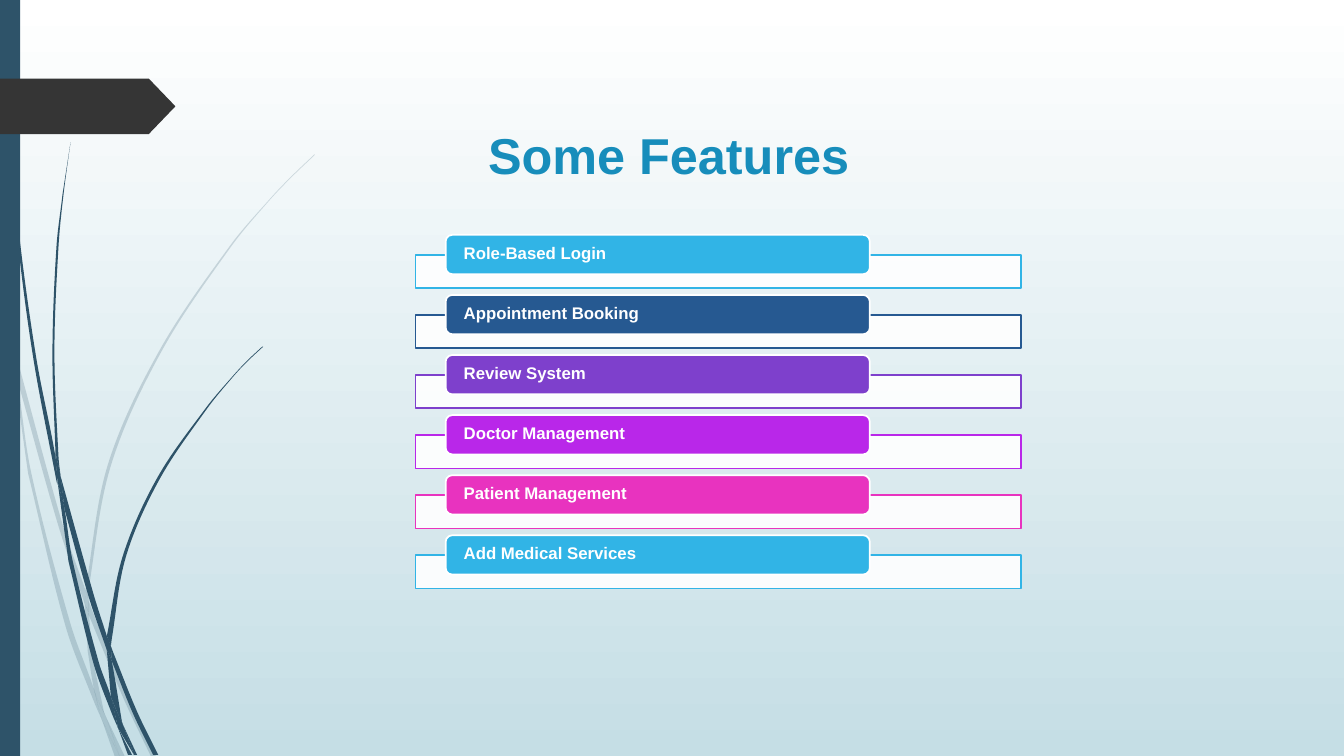
from dataclasses import dataclass
from math import dist

from lxml.etree import SubElement
from pptx import Presentation
from pptx.dml.color import RGBColor
from pptx.enum.shapes import MSO_SHAPE
from pptx.enum.text import MSO_ANCHOR, PP_ALIGN
from pptx.oxml.ns import qn
from pptx.util import Inches, Pt


@dataclass(frozen=True)
class Theme:
    """Colours, font and type sizes of the slide."""
    font: str = "Arial"
    title_size: int = 36
    label_size: int = 12
    line_width: float = 1.25
    title: str = "178DBB"
    slate: str = "2E5369"
    tag: str = "353535"
    white: str = "FFFFFF"
    mist: str = "C5DEE5"


T = Theme()
FEATURES = [
    ("Role-Based Login", "31B4E6"),
    ("Appointment Booking", "265991"),
    ("Review System", "7E40CC"),
    ("Doctor Management", "B927E9"),
    ("Patient Management", "E833BF"),
    ("Add Medical Services", "31B4E6"),
]
PALE_BLADES = [
    ([(0.11, 3.5), (0.09, 3.22), (0, 2.82)], [(0, 2.99), (0.1, 3.44)]),
    ([(0.14, 3.45), (0.62, 5.2), (0.85, 5.86)], [(0.84, 5.99), (0.58, 5.22), (0.17, 3.76)]),
    ([(0.88, 5.96), (0.92, 6.07), (1.27, 6.92), (1.55, 7.51)],
     [(1.5, 7.51), (1.23, 6.94), (0.88, 6.1)]),
    ([(1.05, 7.11), (1.24, 7.51)], [(1.19, 7.51)]),
    ([(0.11, 3.5), (0.17, 3.76), (0.31, 4.69), (0.7, 6.19), (0.93, 6.83), (0.99, 7.07)],
     [(1.01, 7.14), (0.92, 6.93), (0.65, 6.21), (0.28, 4.7)]),
    ([(0.84, 5.99), (0.88, 6.08), (0.91, 6.46), (1.03, 7.06)],
     [(1.05, 7.11), (0.96, 6.92), (0.93, 6.83), (0.87, 6.46)]),
    ([(0.88, 5.96), (0.88, 5.84), (1.1, 4.62), (1.6, 3.49), (2.29, 2.45), (2.68, 1.98),
      (2.9, 1.75), (3.12, 1.54)],
     [(3.12, 1.53), (2.89, 1.75), (2.68, 1.97), (2.28, 2.44), (1.58, 3.48), (1.07, 4.61),
      (0.85, 5.84), (0.85, 5.86)]),
    ([(1.01, 7.14), (1.14, 7.51)], [(1.19, 7.51)]),
    ([(0.85, 5.86), (0.88, 5.96), (0.88, 6.1)], [(0.88, 6.08), (0.84, 5.99)]),
    ([(0.93, 6.83), (0.96, 6.92), (1.05, 7.11), (1.19, 7.51)], [(1.01, 7.14), (0.99, 7.07)]),
]
DARK_BLADES = [
    ([(0.03, 0), (0.04, 0.48), (0.07, 1.1), (0.17, 2.33), (0.33, 3.55), (0.56, 4.77)],
     [(0.57, 4.81), (0.55, 4.53), (0.36, 3.55), (0.19, 2.32), (0.08, 1.09), (0.05, 0.48),
      (0.04, 0)]),
    ([(0.6, 4.72), (0.93, 5.9), (1.06, 6.31)],
     [(1.06, 6.45), (0.88, 5.92), (0.64, 5.05)]),
    ([(1.1, 6.41), (1.13, 6.49), (1.36, 7.06), (1.57, 7.49)],
     [(1.52, 7.49), (1.32, 7.08), (1.11, 6.56)]),
    ([(0.57, 4.77), (0.64, 5.05), (0.72, 5.56), (0.98, 6.57), (1.1, 6.91), (1.16, 7.17)],
     [(1.17, 7.22), (1.11, 7.08), (0.93, 6.59), (0.68, 5.57)]),
    ([(0.7, 1.41), (0.63, 1.93), (0.58, 2.45), (0.54, 3.49), (0.58, 4.53), (0.6, 4.72)],
     [(0.55, 4.49), (0.52, 3.49), (0.56, 2.45), (0.62, 1.93)]),
    ([(1.22, 7.19), (1.36, 7.49)], [(1.33, 7.49)]),
    ([(0.55, 4.49), (0.6, 4.72), (0.64, 5.05)], [(0.57, 4.77), (0.55, 4.53)]),
    ([(1.1, 6.41), (1.11, 6.33), (1.25, 5.52), (1.58, 4.76), (2.05, 4.06), (2.31, 3.74),
      (2.45, 3.59), (2.61, 3.44)],
     [(2.6, 3.44), (2.45, 3.58), (2.31, 3.73), (2.04, 4.05), (1.56, 4.74), (1.22, 5.51),
      (1.06, 6.31)]),
    ([(1.17, 7.22), (1.31, 7.49)], [(1.27, 7.49)]),
    ([(1.06, 6.45), (1.09, 6.51), (1.11, 6.56), (1.21, 7.16)],
     [(1.22, 7.19), (1.16, 7.06), (1.1, 6.91)]),
    ([(1.06, 6.31), (1.1, 6.41), (1.11, 6.56)], [(1.09, 6.51), (1.06, 6.45)]),
    ([(1.1, 6.91), (1.16, 7.06), (1.22, 7.19), (1.33, 7.49)], [(1.17, 7.22), (1.16, 7.17)]),
]


def paint(sp, fill, line=None, alpha=None):
    """Give a shape its fill, outline and opacity in percent."""
    sp.shadow.inherit = False
    sp.fill.solid()
    sp.fill.fore_color.rgb = RGBColor.from_string(fill)
    if alpha is not None:
        clr = sp._element.spPr.find(qn("a:solidFill"))[0]
        SubElement(clr, qn("a:alpha"), val=str(alpha * 1000))
    if line:
        sp.line.color.rgb = RGBColor.from_string(line)
        sp.line.width = Pt(T.line_width)
    else:
        sp.line.fill.background()


def add_block(s, kind, x, y, w, h, fill, **kw):
    """Add a painted preset shape."""
    sp = s.shapes.add_shape(kind, Inches(x), Inches(y), Inches(w), Inches(h))
    paint(sp, fill, **kw)
    return sp


def write(sp, text, size, color, anchor, insets, spacing=1.0):
    """Write one bold left-aligned paragraph into a shape."""
    tf = sp.text_frame
    tf.word_wrap = True
    tf.vertical_anchor = anchor
    tf.margin_left, tf.margin_top, tf.margin_right, tf.margin_bottom = map(Inches, insets)
    p = tf.paragraphs[0]
    p.alignment = PP_ALIGN.LEFT
    p.line_spacing = spacing
    r = p.add_run()
    r.text = text
    r.font.name, r.font.size, r.font.bold = T.font, Pt(size), True
    r.font.color.rgb = RGBColor.from_string(color)


def bezier(edge):
    """Return two handles and an end point for each span of a smooth edge."""
    padded = [edge[0], *edge, edge[-1]]
    points = []
    for a, b, c, d in zip(padded, padded[1:], padded[2:], padded[3:]):
        span = dist(b, c)
        k1, k2 = span / (dist(a, b) + span) / 3, span / (span + dist(c, d)) / 3
        points += [tuple(q + (r - p) * k1 for p, q, r in zip(a, b, c)),
                   tuple(r - (u - q) * k2 for q, r, u in zip(b, c, d)), c]
    return points


def add_blade(s, x, y, out, back, alpha=None):
    """Draw a grass blade bounded by two smooth edges."""
    joint = [out[-1], back[0], back[0]]
    points = [(Inches(x + px), Inches(y + py))
              for px, py in [out[0], *bezier(out), *joint, *bezier(back)]]
    fb = s.shapes.build_freeform(*points[0])
    fb.add_line_segments(points[1:], close=True)
    sp = fb.convert_to_shape()
    lines = list(sp._element.iter(qn("a:lnTo")))
    for first, second, third in zip(lines[::3], lines[1::3], lines[2::3]):
        first.tag = qn("a:cubicBezTo")
        for ln in (second, third):
            first.append(ln[0])
            ln.getparent().remove(ln)
    paint(sp, T.slate, alpha=alpha)


def add_backdrop(s, x, y, h):
    """Place the gradient, grass, side band and page tag."""
    fill = s.background.fill
    fill.gradient()
    fill.gradient_angle = 270
    for stop, color in zip(fill.gradient_stops, (T.white, T.mist)):
        stop.color.rgb = RGBColor.from_string(color)
    for blades, alpha in ((PALE_BLADES, 20), (DARK_BLADES, None)):
        for out, back in blades:
            add_blade(s, x, y, out, back, alpha)
    add_block(s, MSO_SHAPE.RECTANGLE, x, y, 0.2, h, T.slate)
    tag = add_block(s, MSO_SHAPE.PENTAGON, x, y + 0.78, 1.74, 0.55, T.tag)
    tag.adjustments[0] = 0.48


def add_title(s, x, y, w, h):
    """Place and format the title placeholder."""
    sp = s.shapes.title
    sp.left, sp.top, sp.width, sp.height = map(Inches, (x, y, w, h))
    write(sp, "Some Features", T.title_size, T.title, MSO_ANCHOR.TOP, (0.1, 0.05, 0.1, 0.05))


def add_features(s, x, y, w, h):
    """Stack the feature panels with their label pills."""
    drop, panel_h, pill_h = 0.2, 0.33, 0.39
    pitch = (h - drop - panel_h) / (len(FEATURES) - 1)
    for i, (name, color) in enumerate(FEATURES):
        top = y + i * pitch
        add_block(s, MSO_SHAPE.RECTANGLE, x, top + drop, w, panel_h, T.white, line=color, alpha=90)
        pill = add_block(s, MSO_SHAPE.ROUNDED_RECTANGLE, x + 0.05 * w, top, 0.7 * w, pill_h,
                         color, line=T.white)
        write(pill, name, T.label_size, T.white, MSO_ANCHOR.MIDDLE, (0.16, 0, 0.16, 0.01), spacing=0.9)


def main():
    """Build the slide and save it."""
    prs = Presentation()
    prs.slide_width, prs.slide_height = Inches(13.33), Inches(7.5)
    s = prs.slides.add_slide(prs.slide_layouts[5])
    add_backdrop(s, 0, 0, 7.5)
    add_title(s, 4.74, 1.18, 5.66, 0.99)
    add_features(s, 4.12, 2.33, 6.01, 3.51)
    prs.save("out.pptx")


if __name__ == "__main__":
    main()
